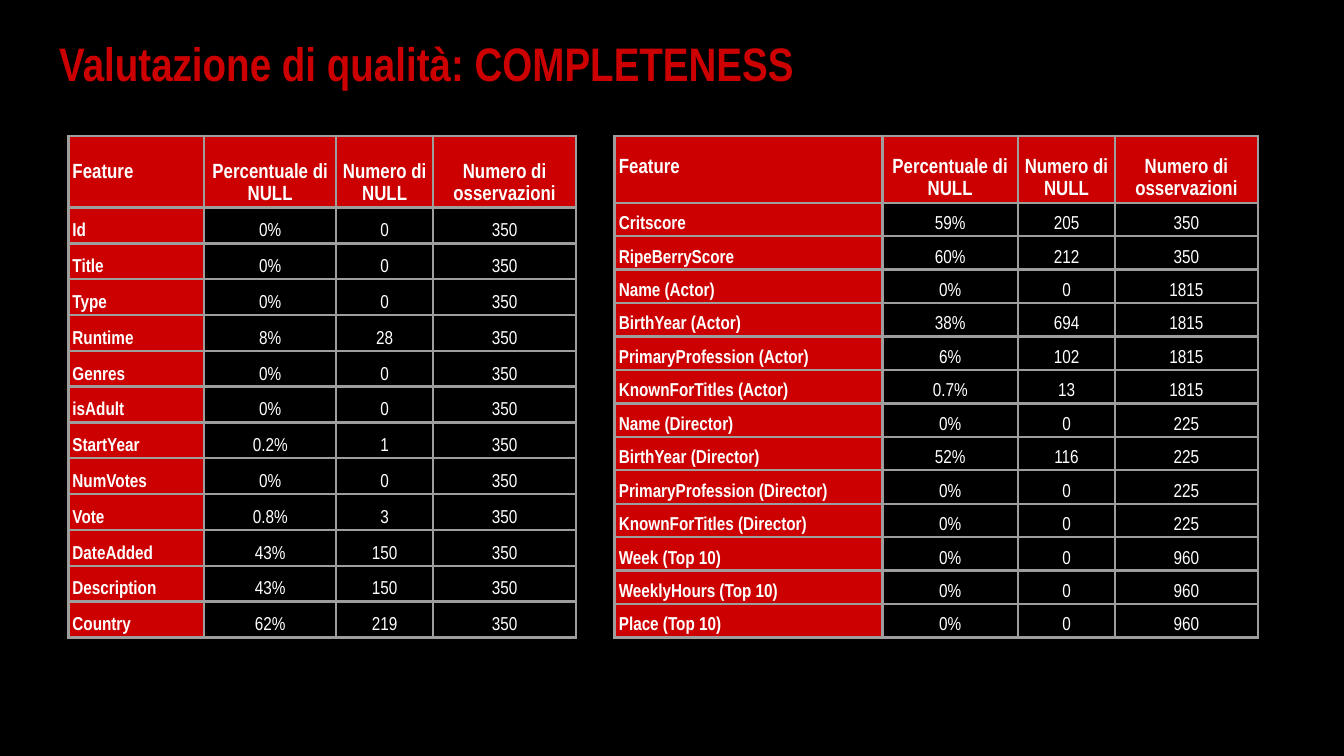
from lxml import etree
from pptx import Presentation
from pptx.dml.color import RGBColor
from pptx.enum.text import MSO_ANCHOR, MSO_AUTO_SIZE, PP_ALIGN
from pptx.oxml.ns import qn
from pptx.util import Pt

LEFT, CENTER = PP_ALIGN.LEFT, PP_ALIGN.CENTER
MIDDLE, BOTTOM = MSO_ANCHOR.MIDDLE, MSO_ANCHOR.BOTTOM
NO_FIT = MSO_AUTO_SIZE.NONE

HEADERS = ("Feature", "Percentuale di NULL", "Numero di NULL", "Numero di osservazioni")

# Feature, share of NULL, count of NULL, observations
TITLE_ROWS = [
    ("Id", "0%", "0", "350"),
    ("Title", "0%", "0", "350"),
    ("Type", "0%", "0", "350"),
    ("Runtime", "8%", "28", "350"),
    ("Genres", "0%", "0", "350"),
    ("isAdult", "0%", "0", "350"),
    ("StartYear", "0.2%", "1", "350"),
    ("NumVotes", "0%", "0", "350"),
    ("Vote", "0.8%", "3", "350"),
    ("DateAdded", "43%", "150", "350"),
    ("Description", "43%", "150", "350"),
    ("Country", "62%", "219", "350"),
]
PEOPLE_ROWS = [
    ("Critscore", "59%", "205", "350"),
    ("RipeBerryScore", "60%", "212", "350"),
    ("Name (Actor)", "0%", "0", "1815"),
    ("BirthYear (Actor)", "38%", "694", "1815"),
    ("PrimaryProfession (Actor)", "6%", "102", "1815"),
    ("KnownForTitles (Actor)", "0.7%", "13", "1815"),
    ("Name (Director)", "0%", "0", "225"),
    ("BirthYear (Director)", "52%", "116", "225"),
    ("PrimaryProfession (Director)", "0%", "0", "225"),
    ("KnownForTitles (Director)", "0%", "0", "225"),
    ("Week (Top 10)", "0%", "0", "960"),
    ("WeeklyHours (Top 10)", "0%", "0", "960"),
    ("Place (Top 10)", "0%", "0", "960"),
]


def color(value):
    return RGBColor.from_string(value)


class Deck:
    FONT = "Arial Narrow"
    BLACK, RED, WHITE, GREY = "000000", "CC0000", "FFFFFF", "9E9E9E"
    HEADER_LINE = 11.8

    def __init__(self, width, height):
        self.prs = Presentation()
        self.prs.slide_width, self.prs.slide_height = Pt(width), Pt(height)
        self.s = self.prs.slides.add_slide(self.prs.slide_layouts[5])
        fill = self.s.background.fill
        fill.solid()
        fill.fore_color.rgb = color(self.BLACK)

    def run(self, p, text, size, hue, bold):
        r = p.add_run()
        r.text = text
        r.font.name, r.font.size, r.font.bold = self.FONT, Pt(size), bold
        r.font.color.rgb = color(hue)

    def title(self, text, x, y, w, h):
        sp = self.s.shapes.title
        sp.left, sp.top, sp.width, sp.height = Pt(x), Pt(y), Pt(w), Pt(h)
        tf = sp.text_frame
        tf.auto_size, tf.word_wrap, tf.vertical_anchor = NO_FIT, True, MIDDLE
        tf.margin_left = tf.margin_right = tf.margin_top = tf.margin_bottom = Pt(7.2)
        p = tf.paragraphs[0]
        p.alignment = LEFT
        self.run(p, text, 25.2, self.RED, True)

    def borders(self, cell):
        tc_pr = cell._tc.get_or_add_tcPr()
        for i, side in enumerate(("a:lnL", "a:lnR", "a:lnT", "a:lnB")):
            ln = etree.Element(qn(side), w=str(Pt(1.5)))
            fill = etree.SubElement(ln, qn("a:solidFill"))
            etree.SubElement(fill, qn("a:srgbClr"), val=self.GREY)
            tc_pr.insert(i, ln)

    def cell(self, cell, text, is_header, is_label):
        cell.vertical_anchor = BOTTOM
        cell.margin_left = cell.margin_right = Pt(2.25)
        cell.margin_top = cell.margin_bottom = Pt(1.5)
        if is_header and is_label:
            # Level with the first line of the other headers
            cell.margin_bottom = Pt(1.5 + self.HEADER_LINE)
        if is_header or is_label:
            cell.fill.solid()
            cell.fill.fore_color.rgb = color(self.RED)
        else:
            cell.fill.background()
        self.borders(cell)
        p = cell.text_frame.paragraphs[0]
        p.alignment = LEFT if is_label else CENTER
        p.line_spacing = 1.15
        self.run(p, text, 11 if is_header else 10, self.WHITE, is_header or is_label)

    def table(self, rows, x, y, widths, height):
        data = [HEADERS, *rows]
        table = self.s.shapes.add_table(
            len(data), len(widths), Pt(x), Pt(y), Pt(sum(widths)), Pt(height)).table
        table.first_row = table.horz_banding = False
        for column, width in zip(table.columns, widths):
            column.width = Pt(width)
        # The header is twice as tall as a data row
        unit = height / (len(data) + 1)
        for i, row in enumerate(data):
            table.rows[i].height = Pt(unit * (2 if i == 0 else 1))
            for j, text in enumerate(row):
                self.cell(table.cell(i, j), text, i == 0, j == 0)


def main():
    deck = Deck(720, 405)
    deck.title("Valutazione di qualità: COMPLETENESS", 24.5, 10, 671, 47.5)

    # Two tables side by side, equally tall
    deck.table(TITLE_ROWS, 36.6, 72.8, (72.8, 70.7, 52, 76.5), 268.8)
    deck.table(PEOPLE_ROWS, 329.3, 72.8, (143.4, 72.7, 52, 76.5), 268.8)

    deck.prs.save("out.pptx")


if __name__ == "__main__":
    main()
